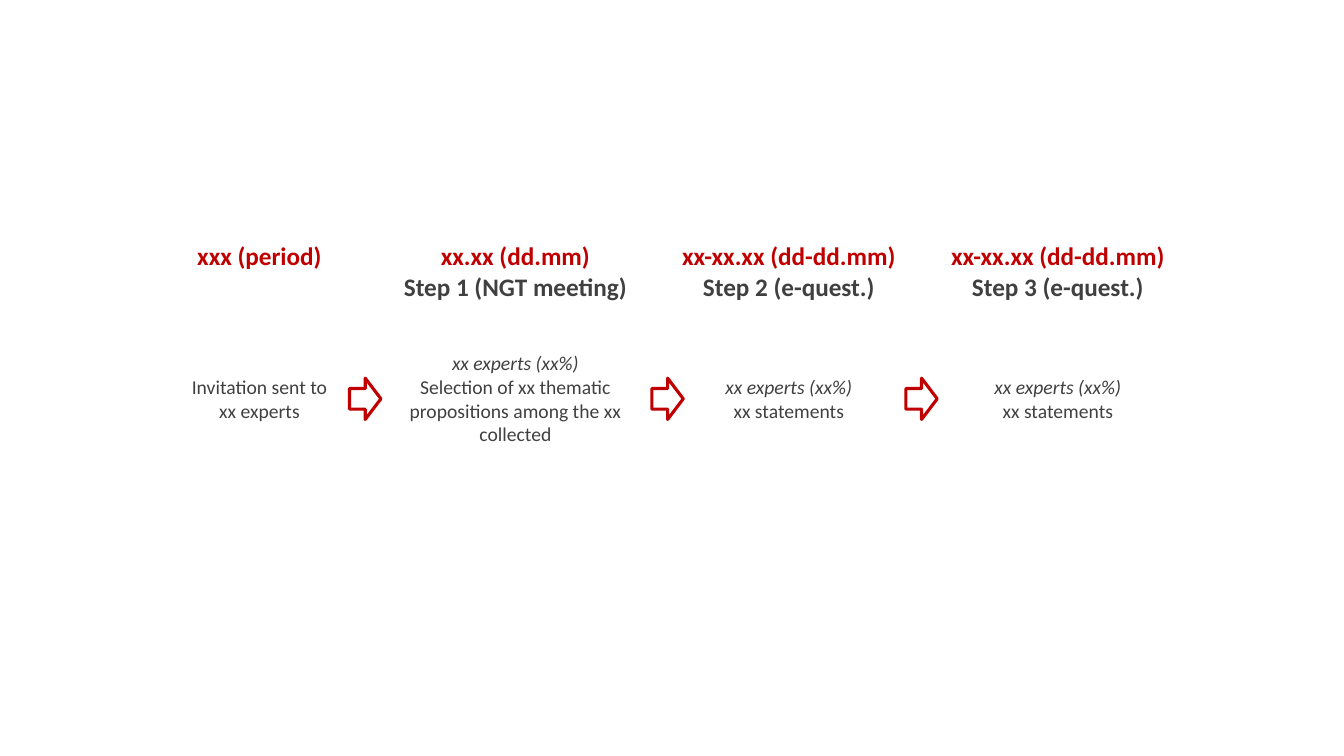
"""Build a slide showing the timeline of an expert consensus process."""
from dataclasses import dataclass

from pptx import Presentation
from pptx.dml.color import RGBColor
from pptx.enum.shapes import MSO_SHAPE
from pptx.enum.text import MSO_AUTO_SIZE, PP_ALIGN
from pptx.slide import Slide
from pptx.util import Cm, Pt

RIGHT_ARROW = MSO_SHAPE.RIGHT_ARROW
CENTER = PP_ALIGN.CENTER
FIT_SHAPE = MSO_AUTO_SIZE.SHAPE_TO_FIT_TEXT

COLORS = {"red": "C00000", "grey": "404040"}
FONT = "Calibri"
HEADING_TOP = 5.94
MIDDLE = 10.05
ARROW_LEFTS = (8.81, 16.43, 22.83)
ARROW_W, ARROW_H = 0.79, 1.04


@dataclass(frozen=True)
class Line:
    text: str
    size: int = 14
    color: str = "grey"
    bold: bool = False
    italic: bool = False


@dataclass(frozen=True)
class Stage:
    center: float
    heading_w: float
    heading_h: float
    detail_w: float
    detail_h: float
    heading: tuple[Line, ...]
    detail: tuple[Line, ...]


def date(text: str) -> Line:
    return Line(text, 18, "red", bold=True)


def step(text: str) -> Line:
    return Line(text, 18, bold=True)


EXPERTS = Line("xx experts (xx%)", italic=True)
STATEMENTS = Line("xx statements")
STAGES = (
    Stage(6.54, 5.16, 1.02, 4.24, 1.45,
          (date("xxx (period)"),),
          (Line("Invitation sent to xx experts"),)),
    Stage(12.99, 6.48, 1.8, 6.02, 2.64,
          (date("xx.xx (dd.mm)"), step("Step 1 (NGT meeting)")),
          (EXPERTS, Line("Selection of xx thematic propositions among the xx collected"))),
    Stage(19.88, 6.48, 1.8, 6.02, 1.45,
          (date("xx-xx.xx (dd-dd.mm)"), step("Step 2 (e-quest.)")),
          (EXPERTS, STATEMENTS)),
    Stage(26.66, 6.48, 1.8, 6.02, 1.45,
          (date("xx-xx.xx (dd-dd.mm)"), step("Step 3 (e-quest.)")),
          (EXPERTS, STATEMENTS)),
)


def rgb(name: str) -> RGBColor:
    return RGBColor.from_string(COLORS[name])


def add_text(s: Slide, center: float, top: float, width: float, height: float,
             lines: tuple[Line, ...]) -> None:
    sp = s.shapes.add_textbox(Cm(center - width / 2), Cm(top), Cm(width), Cm(height))
    tf = sp.text_frame
    tf.word_wrap = True
    tf.auto_size = FIT_SHAPE
    for i, line in enumerate(lines):
        p = tf.add_paragraph() if i else tf.paragraphs[0]
        p.text = line.text
        p.alignment = CENTER
        p.font.name = FONT
        p.font.size = Pt(line.size)
        p.font.bold = line.bold
        p.font.italic = line.italic
        p.font.color.rgb = rgb(line.color)


def add_arrow(s: Slide, left: float) -> None:
    sp = s.shapes.add_shape(RIGHT_ARROW, Cm(left), Cm(MIDDLE - ARROW_H / 2),
                            Cm(ARROW_W), Cm(ARROW_H))
    sp.shadow.inherit = False
    sp.fill.background()
    sp.line.color.rgb = rgb("red")
    sp.line.width = Pt(2.25)


def main() -> None:
    prs = Presentation()
    prs.slide_width, prs.slide_height = Cm(33.87), Cm(19.05)
    s = prs.slides.add_slide(prs.slide_layouts[6])
    for stage in STAGES:
        add_text(s, stage.center, HEADING_TOP, stage.heading_w, stage.heading_h,
                 stage.heading)
    for left in ARROW_LEFTS:
        add_arrow(s, left)
    for stage in STAGES:
        add_text(s, stage.center, MIDDLE - stage.detail_h / 2, stage.detail_w,
                 stage.detail_h, stage.detail)
    prs.save("out.pptx")


main()
